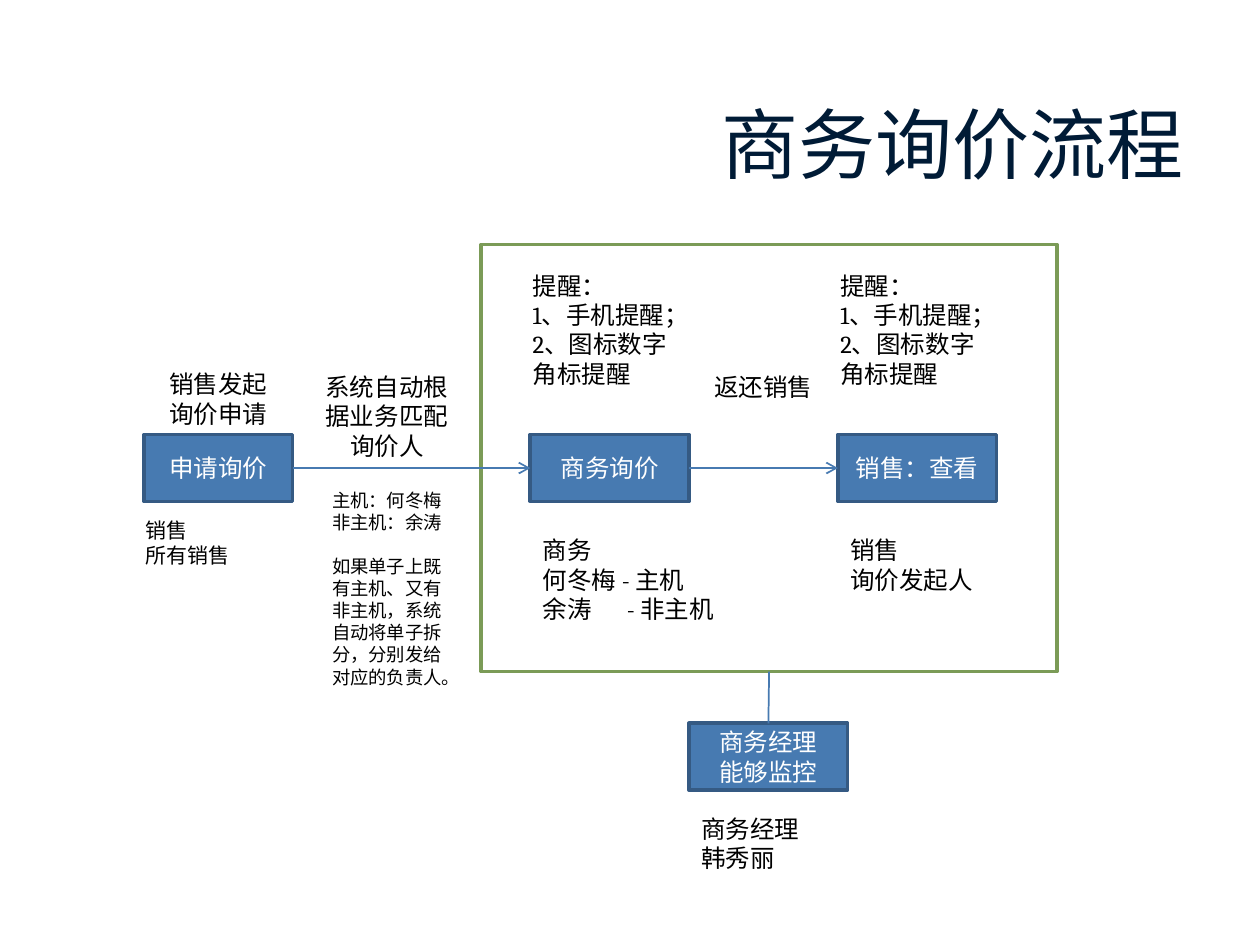
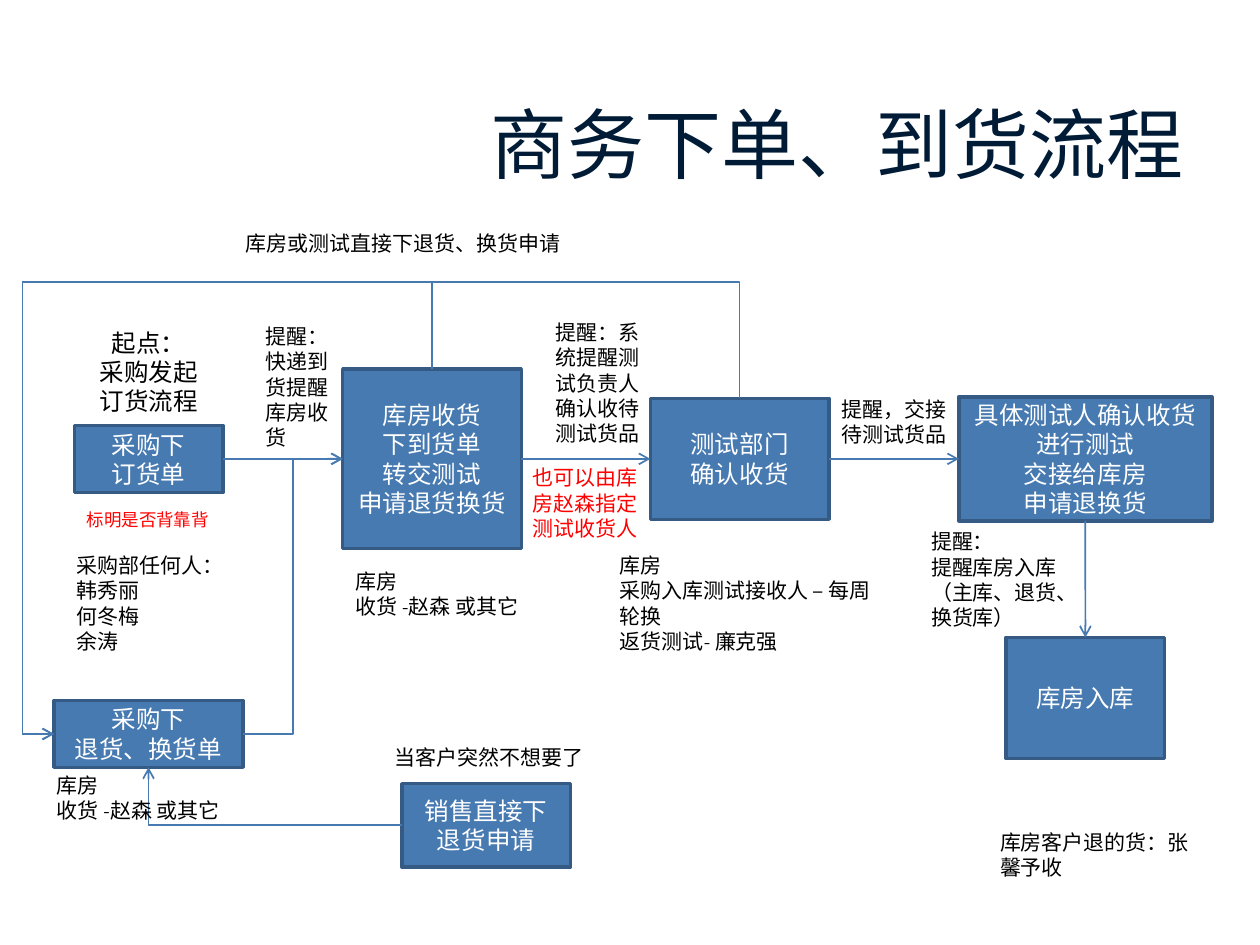
from dataclasses import dataclass

from lxml import etree
from pptx import Presentation
from pptx.dml.color import RGBColor
from pptx.enum import shapes, text
from pptx.oxml import ns
from pptx.util import Cm, Pt


@dataclass(frozen=True)
class Theme:
    head: str = "Calibri"
    body: str = "Cambria"
    navy: str = "001B36"
    blue: str = "477AB1"
    edge: str = "355A83"
    green: str = "7B9B57"
    white: str = "FFFFFF"
    black: str = "000000"
    red: str = "FF0000"
    title: float = 44
    large: float = 14
    note: float = 12
    small: float = 10.5
    tiny: float = 10


T = Theme()
LEFT, CENTER, RIGHT = text.PP_ALIGN.LEFT, text.PP_ALIGN.CENTER, text.PP_ALIGN.RIGHT
TOP_SITE, LEFT_SITE, LOW_SITE, RIGHT_SITE = range(4)


def rgb(tone):
    return RGBColor.from_string(tone)


def child(node, tag, **attrs):
    return etree.SubElement(node, ns.qn(tag), attrs)


def write(frame, words, size=T.large, font=T.body, color=T.black, align=LEFT,
          before=0, tab=None, more=False):
    for line in words.split("\n"):
        para = frame.add_paragraph() if more else frame.paragraphs[0]
        more = True
        para.alignment = align
        if before:
            para.space_before = Pt(before)
            before = 0
        if tab:
            stops = child(para._p.get_or_add_pPr(), "a:tabLst")
            child(stops, "a:tab", pos=str(Cm(tab)), algn="l")
        run = para.add_run()
        run.text = line
        run.font.size = Pt(size)
        run.font.name = font
        run.font.color.rgb = rgb(color)


def page(deck, title):
    slide = deck.slides.add_slide(deck.slide_layouts[5])
    head = slide.shapes.title
    head.left, head.top, head.width, head.height = map(Cm, (1.27, 0.76, 22.86, 3.18))
    frame = head.text_frame
    frame.vertical_anchor = text.MSO_ANCHOR.BOTTOM
    frame.auto_size = text.MSO_AUTO_SIZE.NONE
    write(frame, title, size=T.title, font=T.head, color=T.navy, align=RIGHT)
    return slide


def box(slide, place, words="", fill=T.blue, edge=T.edge):
    shape = slide.shapes.add_shape(shapes.MSO_SHAPE.RECTANGLE, *map(Cm, place))
    shape.shadow.inherit = False
    shape.fill.solid()
    shape.fill.fore_color.rgb = rgb(fill)
    shape.line.color.rgb = rgb(edge)
    shape.line.width = Pt(2)
    if words:
        shape.text_frame.vertical_anchor = text.MSO_ANCHOR.MIDDLE
        write(shape.text_frame, words, color=T.white, align=CENTER)
    return shape


def note(slide, place, words, **form):
    frame = slide.shapes.add_textbox(*map(Cm, place)).text_frame
    frame.word_wrap = True
    frame.auto_size = text.MSO_AUTO_SIZE.SHAPE_TO_FIT_TEXT
    write(frame, words, **form)
    return frame


def link(slide, start, end, out=RIGHT_SITE, into=LEFT_SITE, bent=False, arrow=True):
    kind = shapes.MSO_CONNECTOR.ELBOW if bent else shapes.MSO_CONNECTOR.STRAIGHT
    line = slide.shapes.add_connector(kind, 0, 0, 0, 0)
    line.begin_connect(start, out)
    line.end_connect(end, into)
    line.line.color.rgb = rgb(T.blue)
    line.line.width = Pt(1)
    if arrow:
        child(line.line._get_or_add_ln(), "a:tailEnd", type="arrow")
    child(line._element.spPr, "a:effectLst")
    return line


def corner(line):
    line._element.spPr.find(ns.qn("a:prstGeom")).set("prst", "bentConnector2")


def detour(line, top, left):
    x1, y1, x2, y2 = line.begin_x, line.begin_y, line.end_x, line.end_y
    wide, high = x1 - x2, y2 - y1
    line.left, line.top = (x1 + x2 - high) // 2, (y1 + y2 - wide) // 2
    line.width, line.height = high, wide
    props = line._element.spPr
    frame = props.find(ns.qn("a:xfrm"))
    for name, value in (("rot", "16200000"), ("flipH", "1"), ("flipV", "1")):
        frame.set(name, value)
    geom = props.find(ns.qn("a:prstGeom"))
    geom.set("prst", "bentConnector4")
    guides = geom.find(ns.qn("a:avLst"))
    ratios = (Cm(top) - y1) / high, (x1 - Cm(left)) / wide
    for i, ratio in enumerate(ratios, 1):
        child(guides, "a:gd", name=f"adj{i}", fmla=f"val {round(ratio * 100000)}")


def inquiry(deck):
    slide = page(deck, "商务询价流程")
    row, high, wide = 8.76, 1.35, 3.2
    ask_x, view_x = 10.69, 16.89
    area = box(slide, (9.7, 4.93, 11.61, 8.61), fill=T.white, edge=T.green)
    apply = box(slide, (2.9, row, 3, high), "申请询价")
    ask = box(slide, (ask_x, row, wide, high), "商务询价")
    view = box(slide, (view_x, row, wide, high), "销售：查看")
    boss = box(slide, (13.89, 14.58, wide, high), "商务经理\n能够监控")
    link(slide, apply, ask)
    link(slide, ask, view)
    link(slide, area, boss, out=LOW_SITE, into=TOP_SITE, arrow=False)

    for x in (ask_x, view_x):
        note(slide, (x - 0.2, 5.33, 3.61, 2.64), "提醒：\n1、手机提醒；\n2、图标数字角标提醒")
    note(slide, (2.9, 7.32, 3, 1.45), "销售发起\n询价申请", align=CENTER)
    match = note(slide, (6.3, 7.37, 3, 6.68), "系统自动根据业务匹配\n询价人", align=CENTER)
    fine = dict(size=T.small, align=CENTER, more=True)
    write(match, "主机：何冬梅\n非主机：余涛", before=16.8, **fine)
    write(match, "如果单子上既有主机、又有非主机，系统自动将单子拆分，分别发给对应的负责人。",
          before=12.6, **fine)
    note(slide, (13.89, 7.37, 3, 0.86), "返还销售", align=CENTER)
    note(slide, (2.69, 10.31, 3.4, 1.3), "销售\n所有销售", size=T.note)
    note(slide, (13.89, 16.28, 3.4, 1.45), "商务经理\n韩秀丽")
    staff = note(slide, (ask_x, 10.67, 3.99, 2.64), "商务\n何冬梅 - 主机")
    write(staff, "余涛\t- 非主机", tab=1.7, more=True)
    note(slide, (view_x, 10.67, 3.99, 1.45), "销售\n询价发起人")


def order(deck):
    slide = page(deck, "商务下单、到货流程")
    buy = box(slide, (1.5, 8.58, 3, 1.35), "采购下\n订货单")
    stock = box(slide, (6.91, 7.44, 3.6, 3.62), "库房收货\n下到货单\n转交测试\n申请退货换货")
    test = box(slide, (13.11, 8.03, 3.6, 2.44), "测试部门\n确认收货")
    check = box(slide, (19.33, 8, 5.1, 2.5),
                "具体测试人确认收货\n进行测试\n交接给库房\n申请退换货")
    shelf = box(slide, (20.28, 12.85, 3.2, 2.44), "库房入库")
    refund = box(slide, (1.09, 14.12, 3.81, 1.35), "采购下\n退货、换货单")
    cancel = box(slide, (8.1, 15.8, 3.4, 1.68), "销售直接下退货申请")

    for start, end in ((buy, stock), (stock, test), (test, check)):
        link(slide, start, end)
    link(slide, check, shelf, out=LOW_SITE, into=TOP_SITE)
    link(slide, refund, stock, bent=True)
    corner(link(slide, cancel, refund, out=LEFT_SITE, into=LOW_SITE, bent=True))
    for start in (stock, test):
        detour(link(slide, start, refund, out=TOP_SITE, bent=True), top=5.69, left=0.46)

    note(slide, (1.5, 6.48, 3, 2.06), "起点：\n采购发起\n订货流程", align=CENTER)
    note(slide, (1.5, 10.13, 3, 0.69), "标明是否背靠背", size=T.tiny, color=T.red)
    note(slide, (10.49, 9.25, 2.79, 1.8), "也可以由库房赵森指定测试收货人",
         size=T.note, color=T.red)
    for place, words in (
        ((5.11, 6.4, 1.8, 2.82), "提醒：快递到货提醒库房收货"),
        ((10.95, 6.32, 2.57, 2.82), "提醒：系统提醒测试负责人确认收待测试货品"),
        ((16.71, 7.87, 2.62, 1.27), "提醒，交接待测试货品"),
        ((18.52, 10.54, 3.4, 2.31), "提醒：\n提醒库房入库\n（主库、退货、换货库）"),
        ((4.7, 4.52, 8.99, 0.76), "库房或测试直接下退货、换货申请"),
        ((1.3, 11.02, 3.4, 2.31), "采购部任何人：\n韩秀丽\n何冬梅\n余涛"),
        ((6.91, 11.33, 3.99, 1.27), "库房\n收货 -赵森 或其它"),
        ((0.89, 15.44, 3.99, 1.27), "库房\n收货 -赵森 或其它"),
        ((12.24, 11.02, 5.79, 2.31),
         "库房\n采购入库测试接收人 – 每周轮换\n返货测试- 廉克强"),
        ((7.7, 14.88, 4.39, 0.76), "当客户突然不想要了"),
        ((19.91, 16.59, 4.67, 1.27), "库房客户退的货：张馨予收"),
    ):
        note(slide, place, words, size=T.note)


def main():
    deck = Presentation()
    deck.slide_width, deck.slide_height = Cm(25.4), Cm(19.05)
    inquiry(deck)
    order(deck)
    deck.save("out.pptx")


if __name__ == "__main__":
    main()
